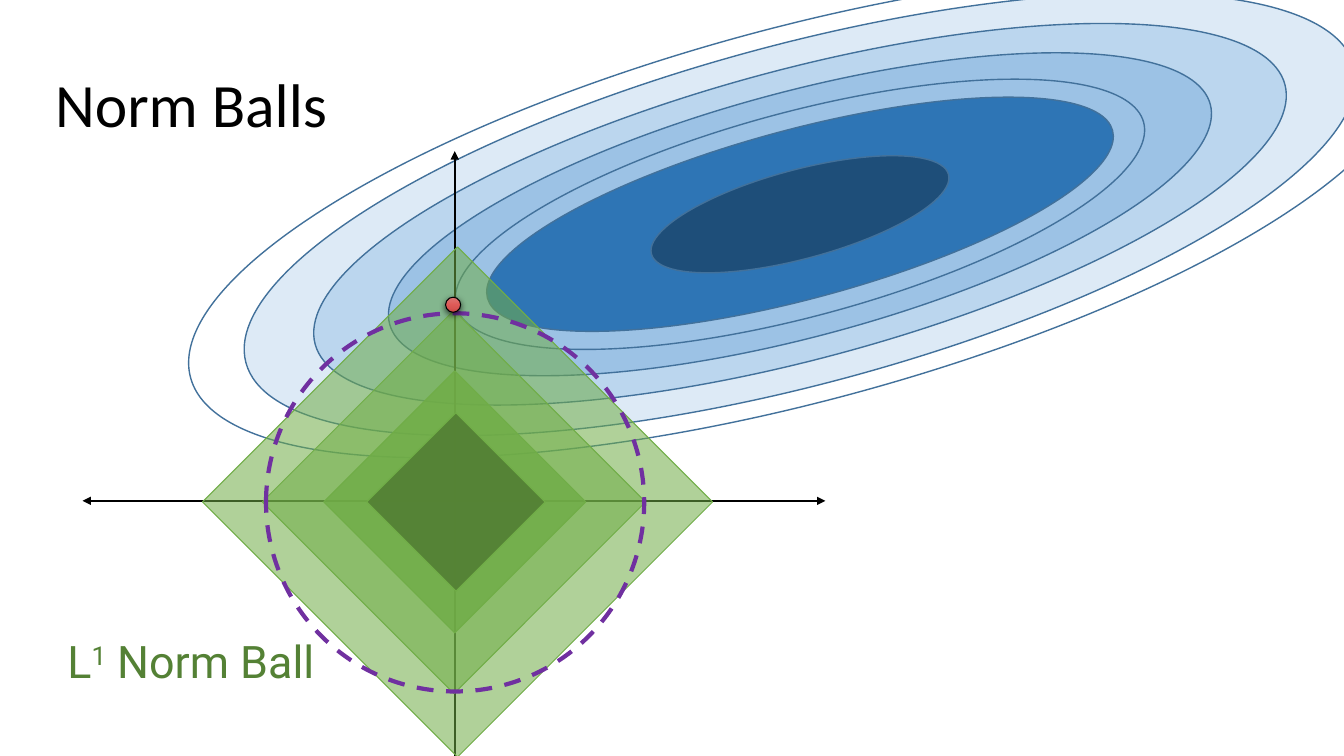
import copy

import pptx
import pptx.dml.color
import pptx.enum.dml
import pptx.enum.shapes
import pptx.enum.text
import pptx.oxml
import pptx.oxml.ns
import pptx.util
from pptx.util import Cm

COLORS = {
    "black": "000000", "white": "FFFFFF", "contour": "42719B",
    "blue1": "DDEAF6", "blue2": "BBD6EE", "blue3": "9CC2E5",
    "blue4": "2E75B5", "navy": "1E4E79",
    "green": "70AD47", "forest": "548135", "purple": "7030A0",
    "red_top": "DD7573", "red_mid": "DE5B58", "red_low": "CB4946",
}
SHAPES = pptx.enum.shapes.MSO_SHAPE

# Loss contours share one centre: width, height, fill
LOSS_CENTRE = (20.16, 5.4)
CONTOURS = [
    (9.42, 31.8, "white"), (8.56, 28.91, "blue1"), (7.29, 25.3, "blue2"),
    (6.17, 21.41, "blue3"), (5.16, 17.93, "blue3"), (4.27, 16.31, "blue4"),
    (2.24, 7.75, "navy"),
]
# L1 balls: centre x, side, fill, opacity in percent
BALL_Y = 12.65
BALLS = [
    (11.53, 9.09, "green", 55), (11.44, 6.83, "green", 55),
    (11.46, 4.67, "green", 83), (11.49, 3.18, "forest", 94),
]
# Axes: start and end
AXES = [(11.46, 3.81, 11.46, 21.41), (2.08, 12.62, 20.8, 12.62)]


def rgb(name):
    return pptx.dml.color.RGBColor.from_string(COLORS[name])


def add_xml(parent, tag, **attributes):
    child = pptx.oxml.parse_xml(f"<a:{tag} {pptx.oxml.ns.nsdecls('a')}/>")
    for key, value in attributes.items():
        child.set(key, str(value))
    parent.append(child)
    return child


def set_format(target, values):
    for key, value in values.items():
        setattr(target, key, value)


def add_centred(slide, kind, centre, size, line, weight, fill=None, opacity=100, rotation=0):
    """Place a shape by its centre; without a fill it is an outline."""
    (x, y), (width, height) = centre, size
    shape = slide.shapes.add_shape(
        kind, Cm(x - width / 2), Cm(y - height / 2), Cm(width), Cm(height))
    shape.rotation = rotation
    shape.shadow.inherit = False
    shape.line.color.rgb = rgb(line)
    shape.line.width = pptx.util.Pt(weight)
    if fill is None:
        shape.fill.background()
    else:
        shape.fill.solid()
        shape.fill.fore_color.rgb = rgb(fill)
    if opacity < 100:
        color = shape._element.spPr.find(
            pptx.oxml.ns.qn("a:solidFill") + "/" + pptx.oxml.ns.qn("a:srgbClr"))
        add_xml(color, "alpha", val=opacity * 1000)
    return shape


def add_axis(slide, x1, y1, x2, y2):
    axis = slide.shapes.add_connector(
        pptx.enum.shapes.MSO_CONNECTOR.STRAIGHT, Cm(x1), Cm(y1), Cm(x2), Cm(y2))
    axis.line.color.rgb = rgb("black")
    axis.line.width = pptx.util.Pt(1.5)
    for end in ("headEnd", "tailEnd"):
        add_xml(axis.line._get_or_add_ln(), end, type="triangle")
    add_xml(axis._element.spPr, "effectLst")


def add_optimum(slide, centre):
    """Red point with a vertical gradient and a soft shadow."""
    point = add_centred(slide, SHAPES.OVAL, centre, (0.38, 0.38), "black", 0.75)
    point.fill.gradient()
    point.fill.gradient_angle = 270
    properties = point._element.spPr
    stops = properties.find(".//" + pptx.oxml.ns.qn("a:gsLst"))
    stops.insert(1, copy.deepcopy(stops[0]))
    shades = [(0, "red_top"), (0.5, "red_mid"), (1, "red_low")]
    for stop, (position, shade) in zip(point.fill.gradient_stops, shades):
        stop.position = position
        stop.color.rgb = rgb(shade)
    shadow = add_xml(
        properties.find(pptx.oxml.ns.qn("a:effectLst")), "outerShdw",
        blurRad=pptx.util.Pt(4.5), dist=pptx.util.Pt(1.5), dir=5400000, rotWithShape=0)
    add_xml(add_xml(shadow, "srgbClr", val=COLORS["black"]), "alpha", val=63000)


def add_label(slide, box, runs, font, frame_format, spacing=1.0):
    """Runs are pairs of text and baseline shift in percent."""
    frame = slide.shapes.add_textbox(*map(Cm, box)).text_frame
    set_format(frame, {"word_wrap": True, **frame_format})
    paragraph = frame.paragraphs[0]
    paragraph.line_spacing = spacing
    for text, baseline in runs:
        run = paragraph.add_run()
        run.text = text
        set_format(run.font, {key: font[key] for key in ("name", "size")})
        run.font.color.rgb = rgb(font["color"])
        if baseline:
            run._r.get_or_add_rPr().set("baseline", str(baseline * 1000))


def main():
    deck = pptx.Presentation()
    set_format(deck, {"slide_width": Cm(33.87), "slide_height": Cm(19.05)})
    slide = deck.slides.add_slide(deck.slide_layouts[6])
    anchor = pptx.enum.text.MSO_ANCHOR

    # Loss contours
    for width, height, fill in CONTOURS:
        add_centred(slide, SHAPES.OVAL, LOSS_CENTRE, (width, height),
                    "contour", 1, fill, rotation=75)

    # Axes
    for ends in AXES:
        add_axis(slide, *ends)

    # L1 norm balls
    for x, side, fill, opacity in BALLS:
        add_centred(slide, SHAPES.RECTANGLE, (x, BALL_Y), (side, side),
                    "green", 0.75, fill, opacity, rotation=45)
    add_label(slide, (1.45, 15.85, 6.99, 1.63), [("L", 0), ("1", 30), (" Norm Ball", 0)],
              {"name": "Roboto", "size": pptx.util.Pt(32), "color": "forest"},
              {"vertical_anchor": anchor.TOP})

    # Dashed circle and optimum
    circle = add_centred(slide, SHAPES.OVAL, (11.47, 12.66), (9.53, 9.53), "purple", 3)
    circle.line.dash_style = pptx.enum.dml.MSO_LINE.DASH
    add_optimum(slide, (11.42, 7.68))

    # Title
    add_label(slide, (1.14, 1.65, 31.55, 2.13), [("Norm Balls", 0)],
              {"name": "Calibri", "size": pptx.util.Pt(44), "color": "black"},
              {"vertical_anchor": anchor.MIDDLE}, spacing=0.9)

    deck.save("out.pptx")


if __name__ == "__main__":
    main()
